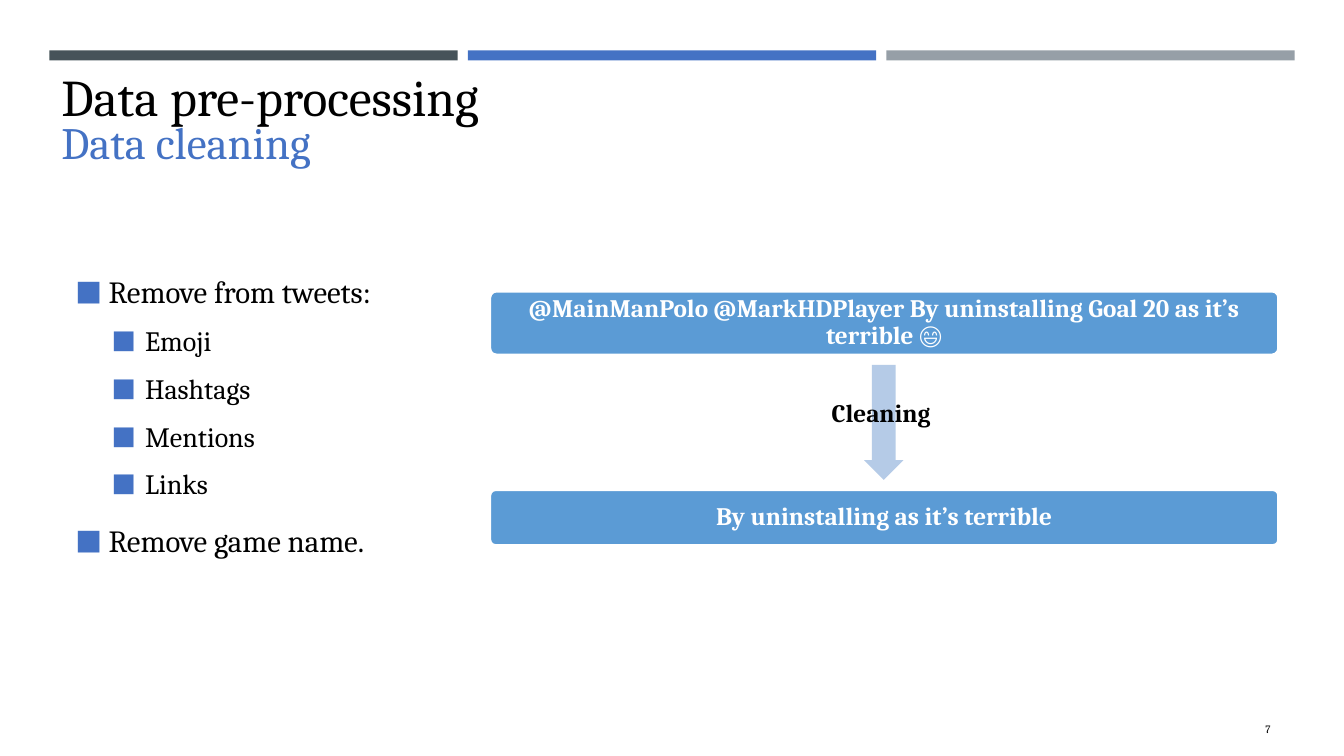
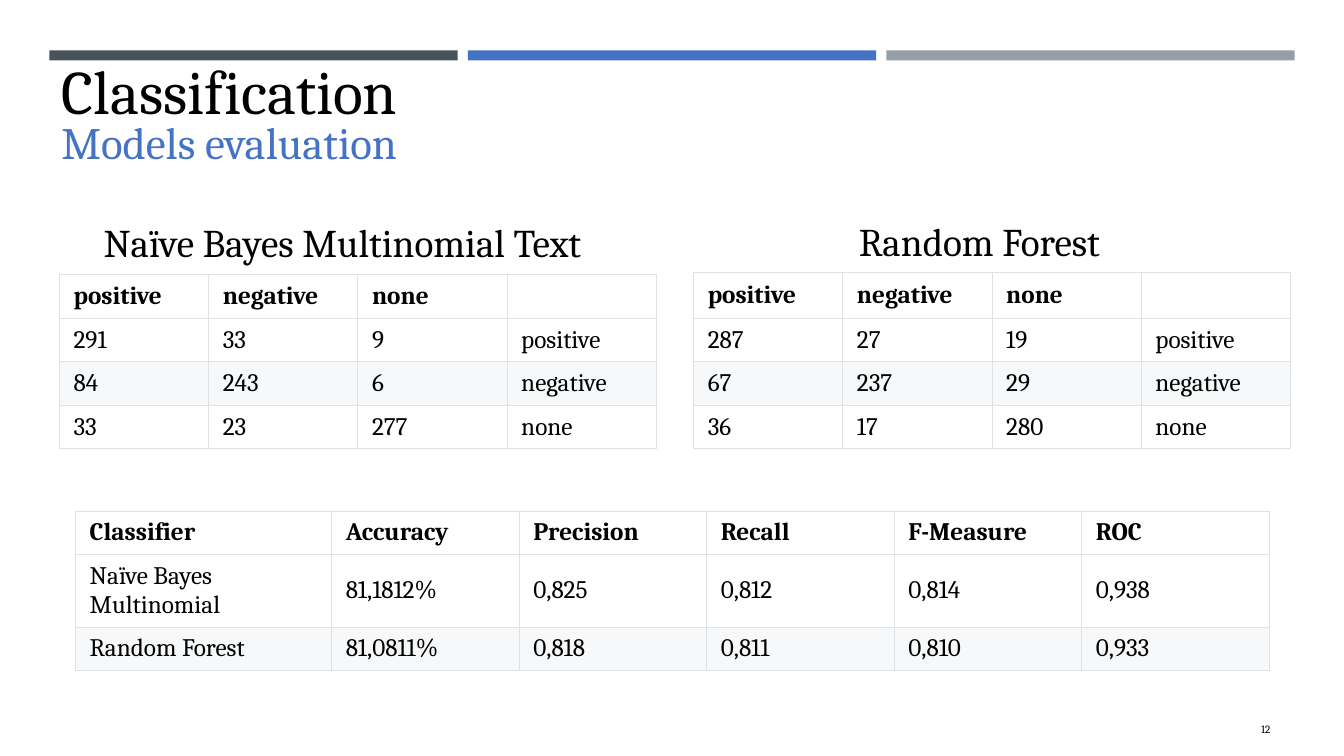
from lxml import etree
from pptx import Presentation
from pptx.dml.color import RGBColor
from pptx.enum import shapes, text
from pptx.oxml import ns
from pptx.util import Inches, Pt

FONT = "Cambria"
BLACK = RGBColor(0x00, 0x00, 0x00)
WHITE = RGBColor(0xFF, 0xFF, 0xFF)
SLATE = RGBColor(0x46, 0x53, 0x59)
BLUE = RGBColor(0x44, 0x72, 0xC4)
GRAY = RGBColor(0x96, 0x9F, 0xA7)
BOX_BLUE = RGBColor(0x5B, 0x9B, 0xD5)
ARROW_BLUE = RGBColor(0xB5, 0xCB, 0xE7)
STRIPE = RGBColor(0xF6, 0xF8, 0xFA)
BORDER = RGBColor(0xDF, 0xE2, 0xE5)

BAND_COLORS = [SLATE, BLUE, GRAY]
BAND_LEFT, BAND_WIDTH, BAND_GAP = 0.49, 4.05, 0.1

CLEANING_RULES = [
    (0, "Remove from tweets:"),
    (1, "Emoji"),
    (1, "Hashtags"),
    (1, "Mentions"),
    (1, "Links"),
    (0, "Remove game name."),
]
BULLET_LEVELS = [
    {"size": 22, "indent": 0.33, "line_spacing": 1.2},
    {"size": 20, "indent": 0.69, "line_spacing": 1.0},
]
TWEET_STAGES = [
    ("@MainManPolo @MarkHDPlayer By uninstalling Goal 20 as it’s terrible 😄", 2.89, 0.63),
    ("By uninstalling as it’s terrible", 4.86, 0.55),
]

CLASSES = ["positive", "negative", "none"]
CONFUSION_TABLES = [
    {
        "name": "Naïve Bayes Multinomial Text",
        "name_box": (0.93, 2.12, 5.13, 0.57),
        "left": 0.59,
        "top": 2.72,
        "header_height": 0.44,
        "counts": [[291, 33, 9], [84, 243, 6], [33, 23, 277]],
    },
    {
        "name": "Random Forest",
        "name_box": (8.42, 2.11, 2.74, 0.57),
        "left": 6.88,
        "top": 2.7,
        "header_height": 0.46,
        "counts": [[287, 27, 19], [67, 237, 29], [36, 17, 280]],
    },
]
SCORES = [
    ["Classifier", "Accuracy", "Precision", "Recall", "F-Measure", "ROC"],
    ["Naïve Bayes Multinomial", "81,1812%", "0,825", "0,812", "0,814", "0,938"],
    ["Random Forest", "81,0811%", "0,818", "0,811", "0,810", "0,933"],
]
ROW_HEIGHT = 0.43


def style(paragraph, size, color=BLACK, bold=False):
    for run in paragraph.runs:
        run.font.name = FONT
        run.font.size = Pt(size)
        run.font.bold = bold
        run.font.color.rgb = color


def add_text(slide, box, content, size, color=BLACK, bold=False, wrap=True,
             anchor=text.MSO_ANCHOR.TOP, align=text.PP_ALIGN.LEFT, line_spacing=None):
    frame = slide.shapes.add_textbox(*map(Inches, box)).text_frame
    frame.word_wrap = wrap
    frame.vertical_anchor = anchor
    frame.text = content
    paragraph = frame.paragraphs[0]
    paragraph.alignment = align
    paragraph.line_spacing = line_spacing
    style(paragraph, size, color, bold)


def add_block(slide, kind, box, color):
    shape = slide.shapes.add_shape(kind, *map(Inches, box))
    shape.shadow.inherit = False
    shape.fill.solid()
    shape.fill.fore_color.rgb = color
    shape.line.fill.background()
    return shape


def start_slide(presentation, title, title_size, subtitle, number):
    slide = presentation.slides.add_slide(presentation.slide_layouts[6])
    for index, color in enumerate(BAND_COLORS):
        left = BAND_LEFT + index * (BAND_WIDTH + BAND_GAP)
        add_block(slide, shapes.MSO_SHAPE.RECTANGLE, (left, 0.5, BAND_WIDTH, 0.1), color)
    add_text(slide, (0.51, 0.96, 4.74, 0.77), subtitle, 32, BLUE,
             anchor=text.MSO_ANCHOR.BOTTOM, line_spacing=0.9)
    add_text(slide, (0.51, 0.63, 4.92, 0.66), title, title_size,
             anchor=text.MSO_ANCHOR.BOTTOM, line_spacing=0.7)
    add_text(slide, (11.55, 7.03, 1.15, 0.4), str(number), 8,
             anchor=text.MSO_ANCHOR.MIDDLE, align=text.PP_ALIGN.RIGHT)
    return slide


def add_bullet(paragraph, indent):
    properties = paragraph._p.get_or_add_pPr()
    properties.set("marL", str(Inches(indent)))
    properties.set("indent", str(-Inches(0.33)))
    color = etree.SubElement(properties, ns.qn("a:buClr"))
    etree.SubElement(color, ns.qn("a:srgbClr"), val=str(BLUE))
    etree.SubElement(properties, ns.qn("a:buSzPct"), val="92000")
    etree.SubElement(properties, ns.qn("a:buFont"), typeface=FONT)
    etree.SubElement(properties, ns.qn("a:buChar"), char="■")


def add_bullet_list(slide, box, items):
    frame = slide.shapes.add_textbox(*map(Inches, box)).text_frame
    frame.word_wrap = True
    frame.vertical_anchor = text.MSO_ANCHOR.MIDDLE
    frame.text = "\n".join(content for _, content in items)
    for paragraph, (level, _) in zip(frame.paragraphs, items):
        look = BULLET_LEVELS[level]
        paragraph.level = level
        paragraph.line_spacing = look["line_spacing"]
        paragraph.space_before = Pt(look["size"] * 0.2)
        paragraph.space_after = Pt(6)
        add_bullet(paragraph, look["indent"])
        style(paragraph, look["size"])


def add_tweet_box(slide, content, top, height):
    shape = add_block(slide, shapes.MSO_SHAPE.ROUNDED_RECTANGLE,
                      (4.86, top, 7.82, height), BOX_BLUE)
    shape.adjustments[0] = 0.1
    shape.line.color.rgb = WHITE
    shape.line.width = Pt(1.75)
    frame = shape.text_frame
    frame.word_wrap = True
    frame.vertical_anchor = text.MSO_ANCHOR.MIDDLE
    frame.margin_left = frame.margin_right = Inches(0.07)
    frame.margin_top = frame.margin_bottom = Inches(0.07)
    frame.text = content
    paragraph = frame.paragraphs[0]
    paragraph.alignment = text.PP_ALIGN.CENTER
    paragraph.line_spacing = 0.9
    style(paragraph, 18, WHITE, True)


def add_borders(cell):
    properties = cell._tc.get_or_add_tcPr()
    for side in ("lnL", "lnR", "lnT", "lnB"):
        line = etree.SubElement(properties, ns.qn("a:" + side), w=str(Pt(0.75)))
        fill = etree.SubElement(line, ns.qn("a:solidFill"))
        etree.SubElement(fill, ns.qn("a:srgbClr"), val=str(BORDER))


def add_grid(slide, left, top, widths, heights, rows):
    box = (left, top, sum(widths), sum(heights))
    table = slide.shapes.add_table(len(rows), len(widths), *map(Inches, box)).table
    table.first_row = table.horz_banding = False
    for column, width in zip(table.columns, widths):
        column.width = Inches(width)
    for row_index, (row, height) in enumerate(zip(rows, heights)):
        table.rows[row_index].height = Inches(height)
        for column_index, value in enumerate(row):
            cell = table.cell(row_index, column_index)
            add_borders(cell)
            cell.fill.solid()
            cell.fill.fore_color.rgb = STRIPE if row_index == 2 else WHITE
            cell.vertical_anchor = text.MSO_ANCHOR.MIDDLE
            cell.margin_left = cell.margin_right = Inches(0.14)
            cell.margin_top = cell.margin_bottom = Inches(0.06)
            cell.text = str(value)
            style(cell.text_frame.paragraphs[0], 18, bold=row_index == 0)


def build_cleaning_slide(presentation):
    slide = start_slide(presentation, "Data pre-processing", 36.8, "Data cleaning", 7)
    add_bullet_list(slide, (0.65, 2.39, 4.74, 3.4), CLEANING_RULES)
    for stage in TWEET_STAGES:
        add_tweet_box(slide, *stage)
    arrow = add_block(slide, shapes.MSO_SHAPE.DOWN_ARROW, (8.57, 3.62, 0.39, 1.14), ARROW_BLUE)
    arrow.adjustments[0] = 0.6
    arrow.adjustments[1] = 0.5
    add_text(slide, (8.15, 3.89, 1.21, 0.4), "Cleaning", 18, bold=True, wrap=False)


def build_evaluation_slide(presentation):
    slide = start_slide(presentation, "Classification", 44.1, "Models evaluation", 12)
    for model in CONFUSION_TABLES:
        add_text(slide, model["name_box"], model["name"], 28, wrap=False)
        rows = [CLASSES + [""]]
        rows += [counts + [name] for counts, name in zip(model["counts"], CLASSES)]
        heights = [model["header_height"]] + [ROW_HEIGHT] * len(CLASSES)
        add_grid(slide, model["left"], model["top"], [1.48] * 4, heights, rows)
    add_grid(slide, 0.75, 5.07, [2.54] + [1.86] * 5, [ROW_HEIGHT, 0.72, ROW_HEIGHT], SCORES)


def main():
    presentation = Presentation()
    presentation.slide_width = Inches(13.33)
    presentation.slide_height = Inches(7.5)
    build_cleaning_slide(presentation)
    build_evaluation_slide(presentation)
    presentation.save("out.pptx")


if __name__ == "__main__":
    main()
